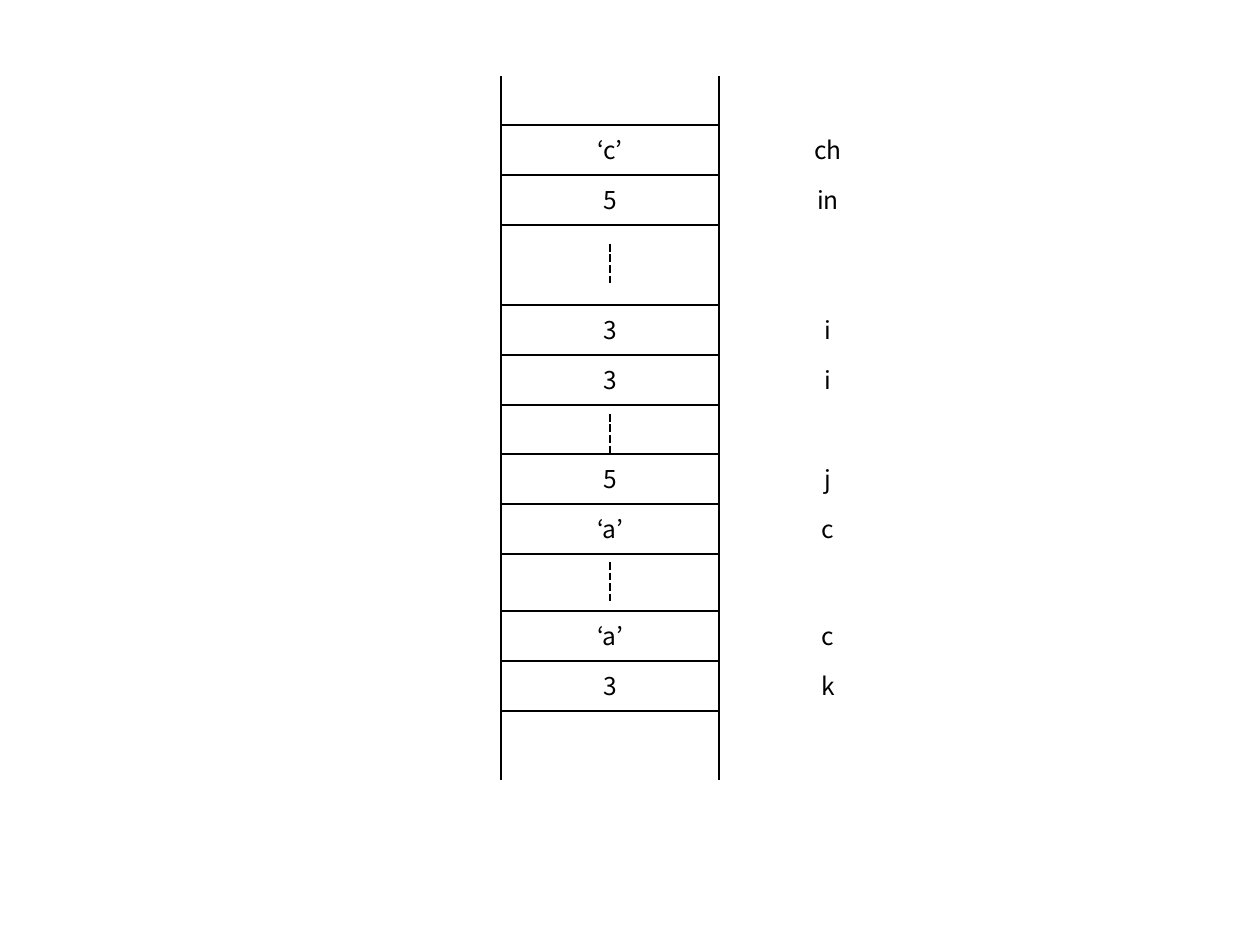
"""Build a slide of a memory stack with its values and variable names."""
from lxml.etree import SubElement
from pptx import Presentation
from pptx.dml.color import RGBColor
from pptx.enum.dml import MSO_LINE_DASH_STYLE as Dash
from pptx.enum.shapes import MSO_CONNECTOR as Connector, MSO_SHAPE as Shape
from pptx.enum.text import MSO_ANCHOR as Anchor, PP_ALIGN as Align
from pptx.oxml.ns import qn
from pptx.util import Emu, Pt

COLORS = {"ink": "000000"}
INK = RGBColor.from_string(COLORS["ink"])
FONT = "Noto Sans CJK KR"
SCALE = 914400 / 126
LEFT, WIDTH, ROW = 501, 218, 50
RIGHT = LEFT + WIDTH
MIDDLE = LEFT + WIDTH // 2
FRAMES = [
    (125, [("‘c’", "ch"), ("5", "in")]),
    (305, [("3", "i"), ("3", "i")]),
    (454, [("5", "j"), ("‘a’", "c")]),
    (611, [("‘a’", "c"), ("3", "k")]),
]
LINES = [
    (LEFT, 76, 780, Dash.SOLID),
    (RIGHT, 76, 780, Dash.SOLID),
    (MIDDLE, 244, 284, Dash.SQUARE_DOT),
    (MIDDLE, 414, 454, Dash.SQUARE_DOT),
    (MIDDLE, 562, 601, Dash.SQUARE_DOT),
]


def px(length):
    return Emu(round(length * SCALE))


def write(box, text):
    frame = box.text_frame
    frame.word_wrap = True
    frame.vertical_anchor = Anchor.MIDDLE
    para = frame.paragraphs[0]
    para.alignment = Align.CENTER
    span = para.add_run()
    span.text = text
    span.font.size = Pt(14)
    span.font.name = FONT
    span.font.color.rgb = INK
    SubElement(span.font._element, qn("a:ea")).set("typeface", FONT)


deck = Presentation()
deck.slide_width, deck.slide_height = px(1260), px(945)
page = deck.slides.add_slide(deck.slide_layouts[6])

for frame_top, variables in FRAMES:
    for index, (value, name) in enumerate(variables):
        top = frame_top + index * ROW
        cell = page.shapes.add_shape(Shape.RECTANGLE, px(LEFT), px(top), px(WIDTH), px(ROW))
        cell.shadow.inherit = False
        cell.fill.background()
        cell.line.color.rgb = INK
        cell.line.width = Pt(1.5)
        write(cell, value)
        label = page.shapes.add_textbox(px(RIGHT), px(top), px(WIDTH), px(ROW))
        write(label, name)

for x, top, bottom, dash in LINES:
    line = page.shapes.add_connector(Connector.STRAIGHT, px(x), px(top), px(x), px(bottom))
    line.line.color.rgb = INK
    line.line.width = Pt(1.5)
    line.line.dash_style = dash
    SubElement(line._element.spPr, qn("a:effectLst"))

deck.save("out.pptx")
